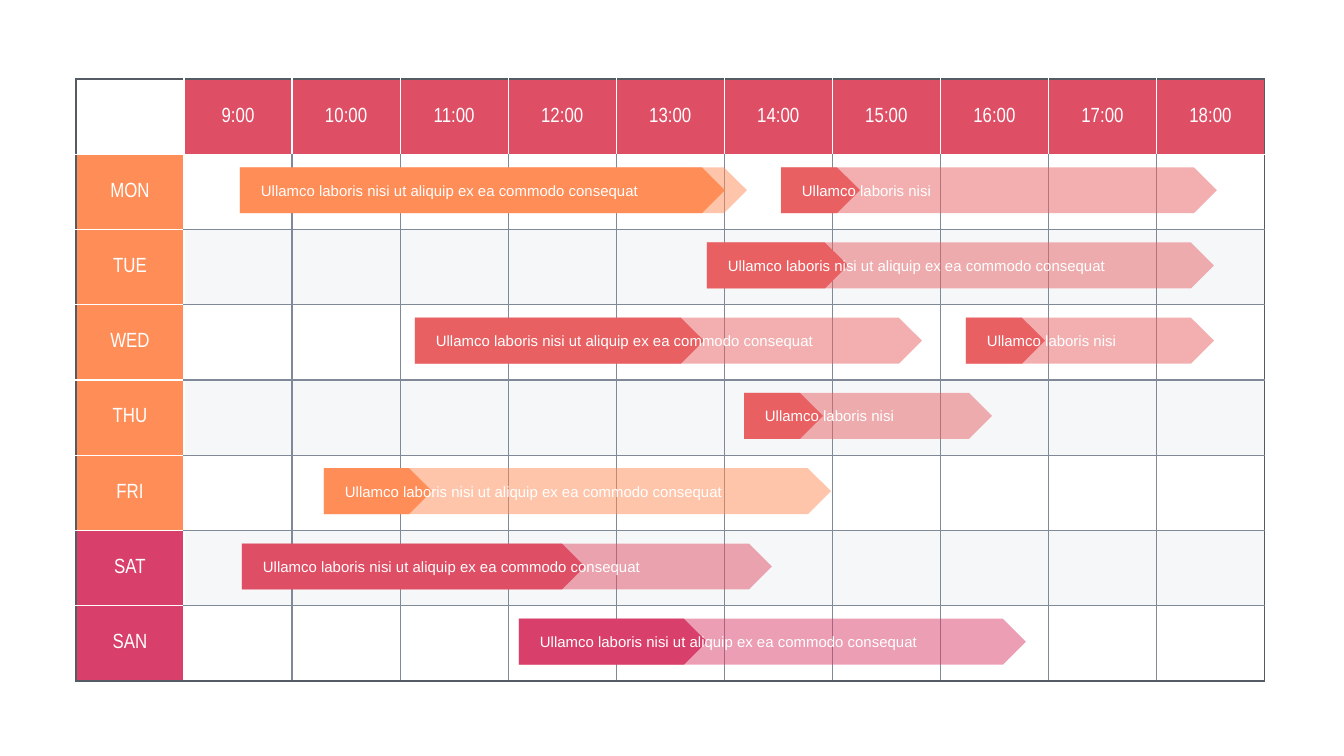
import pptx
import pptx.util
import pptx.dml.color
import pptx.enum.shapes
import pptx.enum.text
import pptx.oxml
import pptx.oxml.ns

# Content
HOURS = [f"{hour}:00" for hour in range(9, 19)]
ORANGE, CORAL, RED, PINK = "FF8D57", "E86062", "DE4E64", "D83F6A"
WHITE, GRID, FRAME, STRIPE = "FFFFFF", "7F8998", "545B63", "EEF0F4"
DAYS = [("MON", ORANGE), ("TUE", ORANGE), ("WED", ORANGE), ("THU", ORANGE),
        ("FRI", ORANGE), ("SAT", PINK), ("SAN", PINK)]
SHORT = "Ullamco laboris nisi"
LONG = "Ullamco laboris nisi ut aliquip ex ea commodo consequat"
# day, left, full length, finished length, colour, label
TASKS = [
    ("TUE", 707, 507, 141, CORAL, LONG),
    ("MON", 240, 507, 485, ORANGE, LONG),
    ("SAT", 242, 530, 343, RED, LONG),
    ("SAN", 519, 507, 188, PINK, LONG),
    ("WED", 415, 507, 289, CORAL, LONG),
    ("WED", 966, 248, 79, CORAL, SHORT),
    ("MON", 781, 436, 79, CORAL, SHORT),
    ("FRI", 324, 507, 108, ORANGE, LONG),
    ("THU", 744, 248, 79, CORAL, SHORT),
]

# Layout in px
PX = 914400 / 134.4
LEFT, TOP, WIDTH, HEIGHT = 76, 79, 1189, 602
ROWS, COLUMNS = len(DAYS) + 1, len(HOURS) + 1
BAR_DROP, BAR_HEIGHT = 13, 46
LABEL_INSET, LABEL_DROP, LABEL_HEIGHT = 16, 11, 24
LABEL_WIDTH = {SHORT: 192, LONG: 418}


def px(length):
    return pptx.util.Emu(round(length * PX))


def colour(hex_text):
    return pptx.dml.color.RGBColor.from_string(hex_text)


def paint(fill, element, hex_text, opacity=100):
    fill.solid()
    fill.fore_color.rgb = colour(hex_text)
    if opacity < 100:
        tone = next(element.iter(pptx.oxml.ns.qn("a:srgbClr")))
        alpha = pptx.oxml.parse_xml(
            f'<a:alpha {pptx.oxml.ns.nsdecls("a")} val="{opacity * 1000}"/>')
        tone.append(alpha)


def write(frame, text, font, size):
    frame.text = text
    style = frame.paragraphs[0].runs[0].font
    style.name, style.size = font, pptx.util.Pt(size)
    style.color.rgb = colour(WHITE)


def line_colour(edge, last, row_or_column_head):
    """Colour of a grid line, counted from 0 at the outer frame."""
    if edge in (0, last):
        return FRAME
    return WHITE if edge == 1 or row_or_column_head else GRID


def set_borders(cell, row, column):
    sides = [("lnL", line_colour(column, COLUMNS, row == 0)),
             ("lnR", line_colour(column + 1, COLUMNS, row == 0)),
             ("lnT", line_colour(row, ROWS, column == 0)),
             ("lnB", line_colour(row + 1, ROWS, column == 0))]
    properties = cell._tc.get_or_add_tcPr()
    for position, (side, shade) in enumerate(sides):
        properties.insert(position, pptx.oxml.parse_xml(
            f'<a:{side} {pptx.oxml.ns.nsdecls("a")} w="9525"><a:solidFill>'
            f'<a:srgbClr val="{shade}"/></a:solidFill></a:{side}>'))


def set_margins(target):
    target.margin_left = target.margin_right = px(5)
    target.margin_top = target.margin_bottom = px(3)


def add_timetable(page):
    table = page.shapes.add_table(
        ROWS, COLUMNS, px(LEFT), px(TOP), px(WIDTH), px(HEIGHT)).table
    table.first_row = table.horz_banding = False
    for column in table.columns:
        column.width = px(WIDTH / COLUMNS)
    for row in table.rows:
        row.height = px(HEIGHT / ROWS)

    heads = {(0, i): (hour, RED) for i, hour in enumerate(HOURS, 1)}
    heads.update({(i, 0): day for i, day in enumerate(DAYS, 1)})
    for row in range(ROWS):
        for column in range(COLUMNS):
            cell = table.cell(row, column)
            set_margins(cell)
            if (row, column) in heads:
                text, shade = heads[row, column]
                paint(cell.fill, cell._tc, shade)
                write(cell.text_frame, text, "Arial Narrow", 11)
                cell.text_frame.paragraphs[0].alignment = pptx.enum.text.PP_ALIGN.CENTER
                cell.vertical_anchor = pptx.enum.text.MSO_ANCHOR.MIDDLE
            elif row and row % 2 == 0:
                paint(cell.fill, cell._tc, STRIPE, 50)
            else:
                cell.fill.background()
            set_borders(cell, row, column)


def add_task(page, day, left, length, finished, shade, label):
    row = [name for name, _ in DAYS].index(day) + 1
    top = TOP + row * HEIGHT / ROWS + BAR_DROP
    group = page.shapes.add_group_shape()
    # Pale bar for the whole task, solid bar for the finished part
    for width, opacity in ((length, 50), (finished, 100)):
        bar = group.shapes.add_shape(pptx.enum.shapes.MSO_SHAPE.PENTAGON,
                                     px(left), px(top), px(width), px(BAR_HEIGHT))
        bar.shadow.inherit = False
        bar.line.fill.background()
        paint(bar.fill, bar.element, shade, opacity)
    box = group.shapes.add_textbox(px(left + LABEL_INSET), px(top + LABEL_DROP),
                                   px(LABEL_WIDTH[label]), px(LABEL_HEIGHT))
    box.text_frame.word_wrap = True
    set_margins(box.text_frame)
    write(box.text_frame, label, "Arial", 8)


def main():
    deck = pptx.Presentation()
    deck.slide_width, deck.slide_height = px(1344), px(756)
    page = deck.slides.add_slide(deck.slide_layouts[6])
    add_timetable(page)
    for task in TASKS:
        add_task(page, *task)
    deck.save("out.pptx")


if __name__ == "__main__":
    main()
